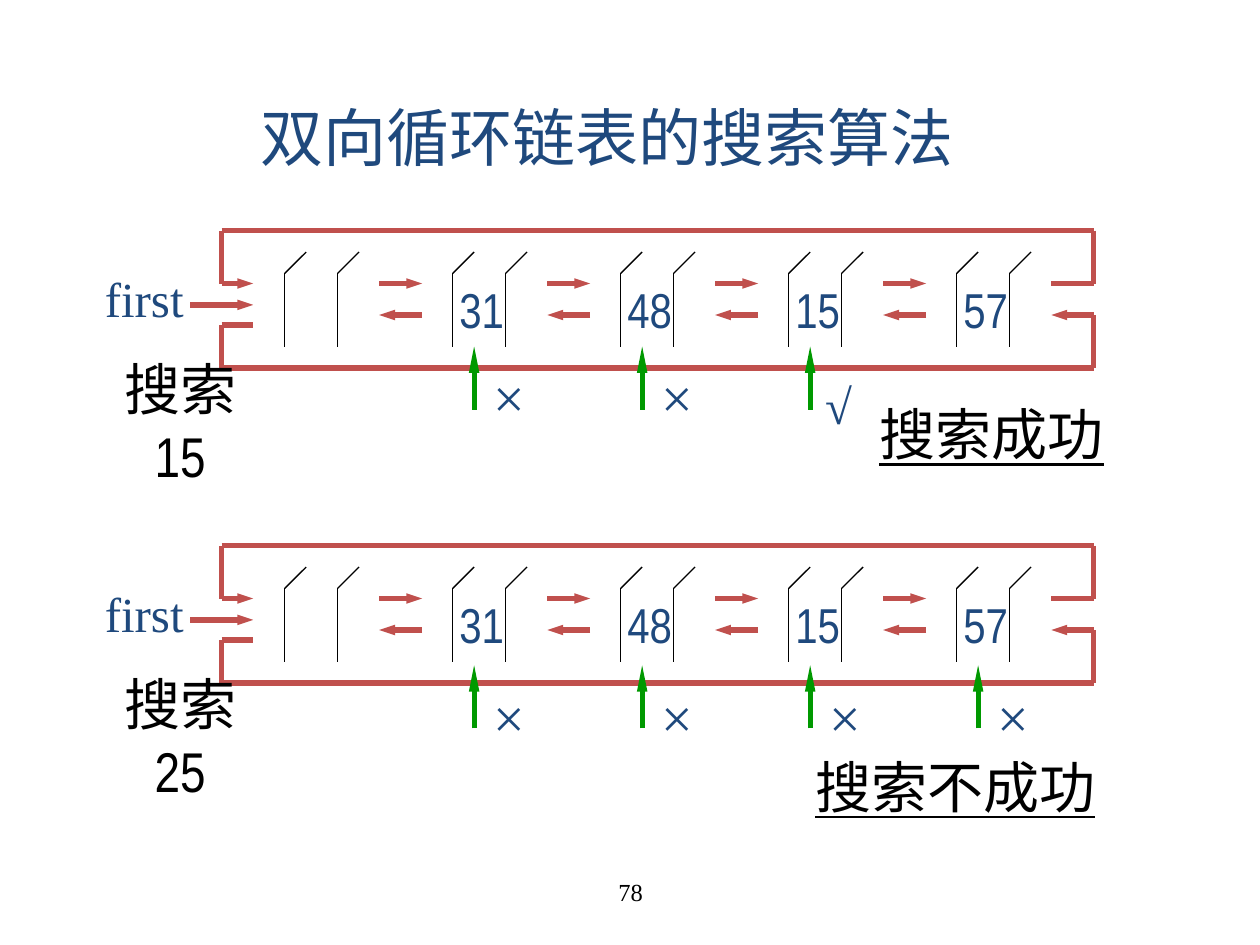
import pptx
import pptx.util
import pptx.dml.color
import pptx.enum.shapes
import pptx.enum.text
from lxml import etree
from pptx.oxml.ns import qn
from pptx.util import Inches

COLORS = {"navy": "1F497D", "black": "000000", "red": "C0504D", "green": "009900"}
ALIGN = pptx.enum.text.PP_ALIGN


def write(box, text, left, top, width, height, size=28, font="Times New Roman",
          color="navy", align=ALIGN.CENTER, underline=None, wrap=False, inset=0.1):
    box.left, box.top = Inches(left), Inches(top)
    box.width, box.height = Inches(width), Inches(height)
    frame = box.text_frame
    frame.auto_size = pptx.enum.text.MSO_AUTO_SIZE.NONE
    frame.word_wrap = wrap
    frame.vertical_anchor = pptx.enum.text.MSO_ANCHOR.MIDDLE
    frame.margin_left = frame.margin_right = Inches(inset)
    frame.margin_top = frame.margin_bottom = Inches(0.05)
    paragraph = frame.paragraphs[0]
    paragraph.alignment = align
    run = paragraph.add_run()
    run.text = text
    run.font.size = pptx.util.Pt(size)
    run.font.name = font
    run.font.underline = underline
    run.font.color.rgb = pptx.dml.color.RGBColor.from_string(COLORS[color])


def draw_line(x1, y1, x2, y2, color="red", weight=3, arrow=None):
    """Straight line; arrow is the length of the head at its end."""
    line = slide.shapes.add_connector(
        pptx.enum.shapes.MSO_CONNECTOR.STRAIGHT,
        Inches(x1), Inches(y1), Inches(x2), Inches(y2))
    line.line.color.rgb = pptx.dml.color.RGBColor.from_string(COLORS[color])
    line.line.width = pptx.util.Pt(weight)
    if arrow:
        etree.SubElement(line.line._get_or_add_ln(), qn("a:tailEnd"),
                         type="triangle", w="sm", len=arrow)
    etree.SubElement(line._element.spPr, qn("a:effectLst"))


prs = pptx.Presentation()
prs.slide_width, prs.slide_height = Inches(10), Inches(7.5)
slide = prs.slides.add_slide(prs.slide_layouts[5])
new_box = lambda: slide.shapes.add_textbox(0, 0, 0, 0)

# Title and page number
write(slide.shapes.title, "双向循环链表的搜索算法", 1.56, 0.72, 6.52, 0.73,
      size=36, wrap=True, inset=0.12)
write(new_box(), "78", 3.42, 6.83, 3.17, 0.5, size=14, color="black", wrap=True)

NODE_VALUES = ["", "31", "48", "15", "57"]
FIRST_NODE, NODE_PITCH = 2.26, 4 / 3
LOOP_LEFT, LOOP_RIGHT = 1.76, 8.68

searches = [
    {"top": 1.83, "target": "搜索15", "marks": "××√", "probe_top": 2.75,
     "mark_top": 2.83, "verdict": ("搜索成功", 6.86, 3.11, 2.03)},
    {"top": 4.33, "target": "搜索25", "marks": "××××", "probe_top": 5.28,
     "mark_top": 5.37, "verdict": ("搜索不成功", 6.35, 5.91, 2.48)},
]

for search in searches:
    top = search["top"]
    next_y, first_y, prev_y = top + 0.42, top + 0.59, top + 0.67
    stub_y, bottom = top + 0.75, top + 1.09

    # Nodes with their values and the links that follow them
    for i, value in enumerate(NODE_VALUES):
        node = FIRST_NODE + i * NODE_PITCH
        for edge in (node, node + 0.42):
            draw_line(edge, top + 0.34, edge, top + 0.92, "black", 0.75)
            draw_line(edge, top + 0.34, edge + 0.17, top + 0.17, "black", 0.75)
        if value:
            write(new_box(), value, node - 0.05, top + 0.34, 0.56, 0.57,
                  font="Arial Narrow")
        link_start, link_end = node + 0.75, node + 1.09
        is_last = i == len(NODE_VALUES) - 1
        draw_line(link_start, next_y, link_end, next_y,
                  arrow=None if is_last else "med")
        draw_line(link_end, prev_y, link_start, prev_y, arrow="med")

    # Circular links around the list
    draw_line(LOOP_LEFT, top, LOOP_RIGHT, top)
    draw_line(LOOP_RIGHT, top, LOOP_RIGHT, next_y)
    draw_line(LOOP_LEFT, top, LOOP_LEFT, next_y)
    draw_line(LOOP_LEFT, next_y, 2.01, next_y, arrow="med")
    draw_line(LOOP_LEFT, bottom, LOOP_RIGHT, bottom)
    draw_line(LOOP_RIGHT, prev_y, LOOP_RIGHT, bottom)
    draw_line(LOOP_LEFT, stub_y, LOOP_LEFT, bottom)
    draw_line(LOOP_LEFT, stub_y, 2.01, stub_y)

    # Head pointer and search target
    write(new_box(), "first", 0.7, top + 0.25, 0.89, 0.57)
    draw_line(1.51, first_y, 2.01, first_y, arrow="med")
    write(new_box(), search["target"], 0.68, top + 1.2, 1.5, 0.63, size=32,
          font="Arial Narrow", color="black", wrap=True, inset=0.25)

    # Probes and their outcome
    for i, mark in enumerate(search["marks"], start=1):
        node = FIRST_NODE + i * NODE_PITCH
        probe_x, probe_top = node + 0.17, search["probe_top"]
        draw_line(probe_x, probe_top + 0.5, probe_x, probe_top, "green", arrow="lg")
        if mark == "√":
            write(new_box(), mark, node + 0.19, search["mark_top"] + 0.1, 0.41, 0.57)
        else:
            write(new_box(), mark, node + 0.22, search["mark_top"], 0.45, 0.63, size=32)

    # Verdict
    verdict, left, verdict_top, width = search["verdict"]
    write(new_box(), verdict, left, verdict_top, width, 0.66, size=32, color="black",
          align=ALIGN.LEFT, underline=True, inset=0.12)

prs.save("out.pptx")
